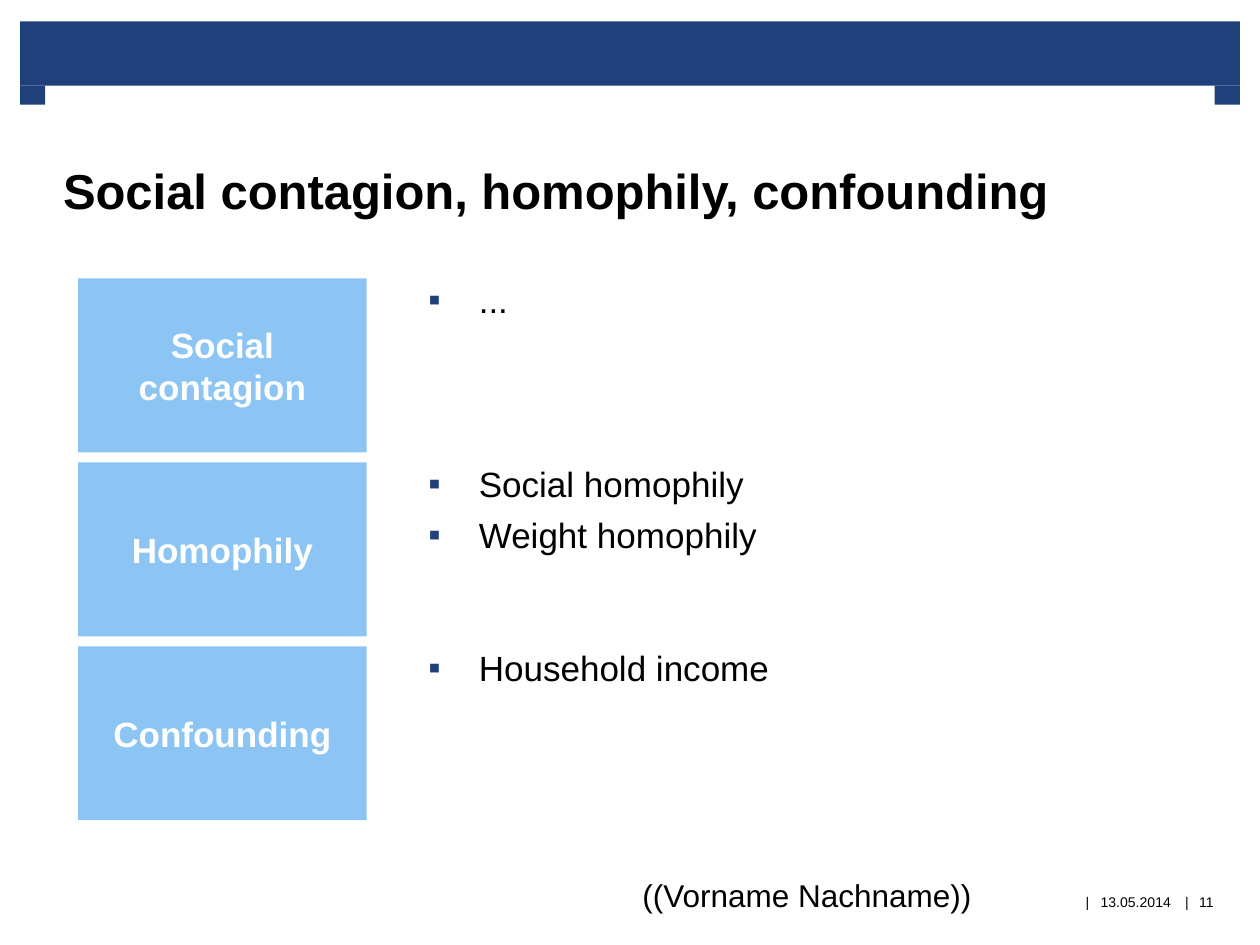
from lxml import etree
from pptx import Presentation
from pptx.dml.color import RGBColor
from pptx.enum.shapes import MSO_SHAPE
from pptx.enum.text import MSO_ANCHOR, MSO_AUTO_SIZE, PP_ALIGN
from pptx.oxml.ns import qn
from pptx.util import Inches, Pt

COLORS = {"navy": "1F407A", "sky": "8CC5F3", "white": "FFFFFF", "black": "000000"}
FONT = "Arial"
TOPICS = [
    ("Social contagion", ["..."]),
    ("Homophily", ["Social homophily", "Weight homophily"]),
    ("Confounding", ["Household income"]),
]


def color(name):
    return RGBColor.from_string(COLORS[name])


def place(shape, box):
    shape.left, shape.top, shape.width, shape.height = map(Inches, box)


def format_text(shape, size, color_name="black", bold=False, align=PP_ALIGN.LEFT,
                anchor=MSO_ANCHOR.MIDDLE, insets=(0.1, 0.05, 0.1, 0.05), wrap=True):
    frame = shape.text_frame
    frame.word_wrap = wrap
    frame.auto_size = MSO_AUTO_SIZE.NONE
    frame.vertical_anchor = anchor
    (frame.margin_left, frame.margin_top,
     frame.margin_right, frame.margin_bottom) = map(Inches, insets)
    for paragraph in frame.paragraphs:
        paragraph.alignment = align
        for run in paragraph.runs:
            font = run.font
            font.name, font.size, font.bold = FONT, Pt(size), bold
            font.color.rgb = color(color_name)


def add_rectangle(slide, box, fill):
    shape = slide.shapes.add_shape(MSO_SHAPE.RECTANGLE, *map(Inches, box))
    shape.shadow.inherit = False
    shape.fill.solid()
    shape.fill.fore_color.rgb = color(fill)
    shape.line.fill.background()
    return shape


def add_label(slide, box, text, size, **formatting):
    label = slide.shapes.add_textbox(*map(Inches, box))
    label.text_frame.text = text
    format_text(label, size, **formatting)


def add_header(slide, box):
    """Draw a bar with a short leg below each end."""
    left, top, width, height = box
    leg_width, leg_height = 0.2, 0.15
    add_rectangle(slide, box, "navy")
    for leg_left in (left, left + width - leg_width):
        add_rectangle(slide, (leg_left, top + height, leg_width, leg_height), "navy")


def fill_title(title, box, text):
    place(title, box)
    title.fill.solid()
    title.fill.fore_color.rgb = color("white")
    title.text_frame.text = text
    format_text(title, 28, bold=True, anchor=MSO_ANCHOR.BOTTOM,
                insets=(0.15, 0, 0.16, 0))


def set_bullet(paragraph):
    properties = paragraph._p.get_or_add_pPr()
    properties.set("marL", str(Inches(0.4)))
    properties.set("indent", str(Inches(-0.4)))
    bullet_color = etree.SubElement(properties, qn("a:buClr"))
    etree.SubElement(bullet_color, qn("a:srgbClr"), val=COLORS["navy"])
    etree.SubElement(properties, qn("a:buFont"), typeface=FONT)
    etree.SubElement(properties, qn("a:buChar"), char="▪")


def fill_list(body, box, items):
    place(body, box)
    body.text_frame.text = "\n".join(items)
    format_text(body, 20, anchor=MSO_ANCHOR.TOP, insets=(0.15, 0, 0.16, 0))
    for paragraph in body.text_frame.paragraphs:
        paragraph.space_before = Pt(5)
        set_bullet(paragraph)


def add_topics(slide, bodies, box):
    """Stack the topics in equal rows: a tile on the left, its list on the right."""
    left, top, width, height = box
    gap, tile_width, list_offset = 0.08, 2.29, 2.63
    row_height = (height - gap * (len(TOPICS) - 1)) / len(TOPICS)
    for row, ((name, items), body) in enumerate(zip(TOPICS, bodies)):
        row_top = top + row * (row_height + gap)
        tile = add_rectangle(slide, (left, row_top, tile_width, row_height), "sky")
        tile.text_frame.text = name
        format_text(tile, 20, "white", bold=True, align=PP_ALIGN.CENTER)
        fill_list(body, (left + list_offset, row_top, width - list_offset, row_height),
                  items)


def add_footer(slide, box):
    left, top, width, height = box
    add_label(slide, (left, top, 3.51, height), "((Vorname Nachname))", 18,
              anchor=MSO_ANCHOR.TOP)
    small = {"align": PP_ALIGN.CENTER, "wrap": False}
    right = left + width
    for offset in (1.15, 0.36):
        add_label(slide, (right - offset, top, 0.12, height), "|", 8,
                  insets=(0.04, 0.05, 0.04, 0.05), **small)
    for offset, label_width, text in ((1.04, 0.67, "13.05.2014"), (0.29, 0.29, "11")):
        add_label(slide, (right - offset, top, label_width, height), text, 8,
                  insets=(0, 0, 0, 0), **small)


def main():
    presentation = Presentation()
    presentation.slide_width, presentation.slide_height = Inches(10), Inches(7.5)
    comparison_layout = presentation.slide_layouts[4]
    slide = presentation.slides.add_slide(comparison_layout)
    title, *bodies, spare = list(slide.placeholders)
    spare.element.getparent().remove(spare.element)

    add_header(slide, (0.16, 0.17, 9.68, 0.51))
    fill_title(title, (0.35, 0.68, 9.29, 1.06),
               "Social contagion, homophily, confounding")
    add_topics(slide, bodies, (0.62, 2.21, 9.03, 4.3))
    add_footer(slide, (5, 6.9, 4.72, 0.51))
    presentation.save("out.pptx")


if __name__ == "__main__":
    main()
